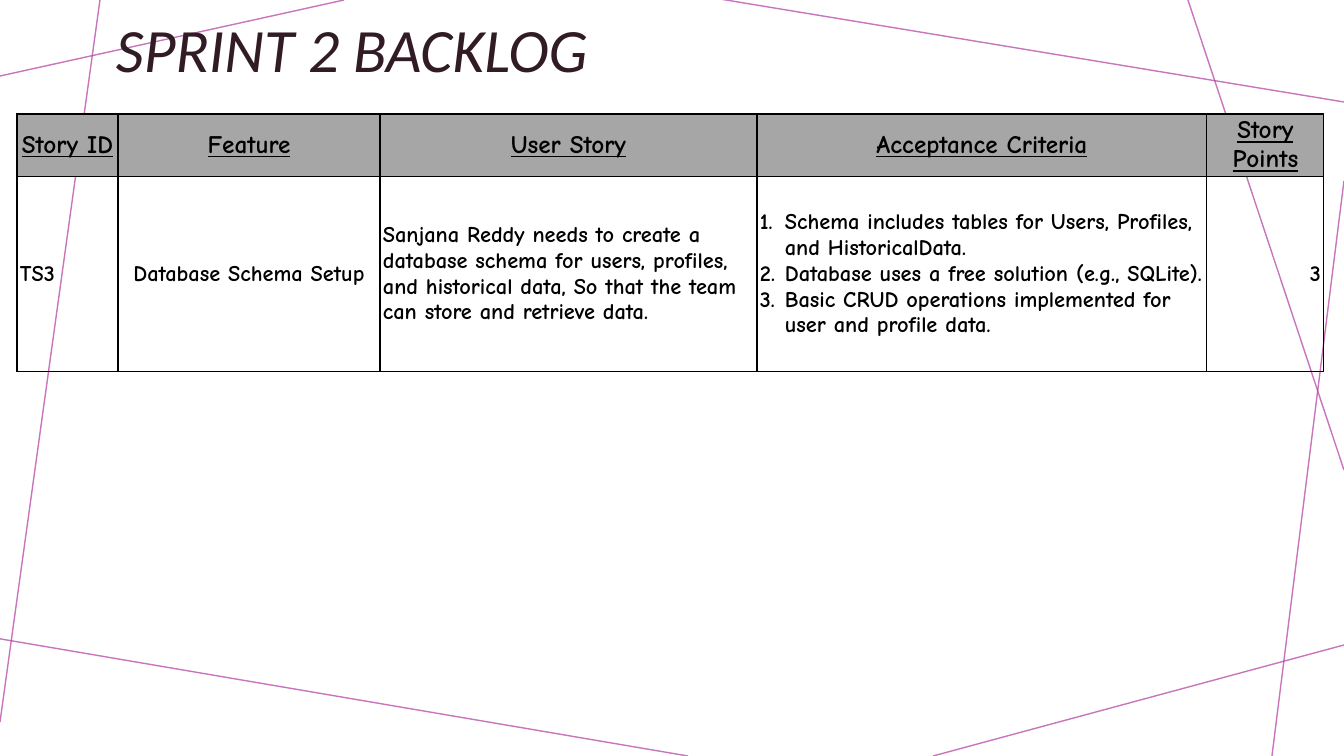
from dataclasses import dataclass

from lxml.etree import SubElement
from pptx import Presentation
from pptx.dml.color import RGBColor as Color
from pptx.enum.shapes import MSO_CONNECTOR as Connector
from pptx.enum.text import MSO_ANCHOR as Anchor, PP_ALIGN as Align
from pptx.oxml.ns import qn
from pptx.util import Emu, Pt

SCALE = 914400 / 100.8


def px(length):
    return Emu(round(length * SCALE))


@dataclass(frozen=True)
class Theme:
    title_font: str = "Calibri"
    table_font: str = "Comic Neue"
    title_color: str = "311B25"
    ink: str = "000000"
    header_fill: str = "A6A6A6"
    accent: str = "B13B9F"
    accent_alpha: int = 70000
    title_size: int = 44
    header_size: int = 18
    body_size: int = 16


class SlideBuilder:
    """Draws styled elements on one slide, with lengths in px."""

    def __init__(self, page, theme):
        self.page = page
        self.theme = theme

    def span(self, para, text, color, **formats):
        span = para.add_run()
        span.text = text
        span.font.color.rgb = Color.from_string(color)
        for name, value in formats.items():
            setattr(span.font, name, value)

    def line(self, start, end):
        connector = self.page.shapes.add_connector(
            Connector.STRAIGHT, *map(px, (*start, *end)))
        connector.line.width = Pt(1)
        connector.line.color.rgb = Color.from_string(self.theme.accent)
        properties = connector._element.spPr
        tint = next(properties.iter(qn("a:srgbClr")))
        SubElement(tint, qn("a:alpha"), val=str(self.theme.accent_alpha))
        SubElement(properties, qn("a:effectLst"))

    def title(self, text, *bounds):
        frame = self.page.shapes.add_textbox(*map(px, bounds)).text_frame
        frame.word_wrap = True
        frame.vertical_anchor = Anchor.BOTTOM
        para = frame.paragraphs[0]
        para.line_spacing = 0.9
        self.span(para, text, self.theme.title_color, name=self.theme.title_font,
                  size=Pt(self.theme.title_size), italic=True)

    def table(self, left, top, widths, heights, rows, alignments):
        grid = self.page.shapes.add_table(
            len(rows), len(widths),
            *map(px, (left, top, sum(widths), sum(heights)))).table
        grid.first_row = grid.horz_banding = False
        for column, width in zip(grid.columns, widths):
            column.width = px(width)
        for row, height in zip(grid.rows, heights):
            row.height = px(height)
        for row_index, row in enumerate(rows):
            for column_index, content in enumerate(row):
                header = row_index == 0
                align = Align.CENTER if header else alignments[column_index]
                self.cell(grid.cell(row_index, column_index), content, align, header)

    def cell(self, cell, content, align, header):
        side, edge = (2, 1) if header else (3, 2)
        formats = {"margin_left": px(side), "margin_right": px(side),
                   "margin_top": px(edge), "margin_bottom": px(edge),
                   "vertical_anchor": Anchor.MIDDLE}
        for name, value in formats.items():
            setattr(cell, name, value)
        self.borders(cell)
        if header:
            cell.fill.solid()
            cell.fill.fore_color.rgb = Color.from_string(self.theme.header_fill)
        else:
            cell.fill.background()
        numbered = isinstance(content, list)
        frame = cell.text_frame
        size = self.theme.header_size if header else self.theme.body_size
        for index, text in enumerate(content if numbered else [content]):
            para = frame.add_paragraph() if index else frame.paragraphs[0]
            para.alignment = align
            if numbered:
                self.number(para)
            self.span(para, text, self.theme.ink, name=self.theme.table_font,
                      size=Pt(size), bold=True, underline=header)

    def number(self, para):
        properties = para._p.get_or_add_pPr()
        indent = px(25)
        properties.set("marL", str(indent))
        properties.set("indent", str(-indent))
        SubElement(properties, qn("a:buFont"), typeface=self.theme.table_font)
        SubElement(properties, qn("a:buAutoNum"), type="arabicPeriod")

    def borders(self, cell):
        properties = cell._tc.get_or_add_tcPr()
        for edge in "LRTB":
            border = SubElement(properties, qn(f"a:ln{edge}"), w=str(Pt(1)))
            fill = SubElement(border, qn("a:solidFill"))
            SubElement(fill, qn("a:srgbClr"), val=self.theme.ink)


def main():
    deck = Presentation()
    deck.slide_width, deck.slide_height = px(1344), px(756)
    page = deck.slides.add_slide(deck.slide_layouts[6])
    builder = SlideBuilder(page, Theme())

    background_lines = [
        ((344, 0), (0, 76)),
        ((100, 0), (0, 722)),
        ((688, 756), (-5, 638)),
        ((1344, 645), (933, 756)),
        ((1344, 181), (1272, 756)),
        ((1344, 470), (1188, 0)),
        ((1344, 102), (720, -1)),
    ]
    for start, end in background_lines:
        builder.line(start, end)

    builder.title("SPRINT 2 BACKLOG", 106, 0, 1054, 91)

    backlog = [
        ["Story ID", "Feature", "User Story", "Acceptance Criteria", "Story Points"],
        ["TS3",
         "Database Schema Setup",
         "Sanjana Reddy needs to create a database schema for users, profiles, "
         "and historical data, So that the team can store and retrieve data.",
         ["Schema includes tables for Users, Profiles, and HistoricalData.",
          "Database uses a free solution (e.g., SQLite).",
          "Basic CRUD operations implemented for user and profile data."],
         "3"],
    ]
    builder.table(17, 114, [101, 262, 377, 450, 117], [60, 195], backlog,
                  [Align.LEFT, Align.CENTER, Align.LEFT, Align.LEFT, Align.RIGHT])
    deck.save("out.pptx")


if __name__ == "__main__":
    main()
